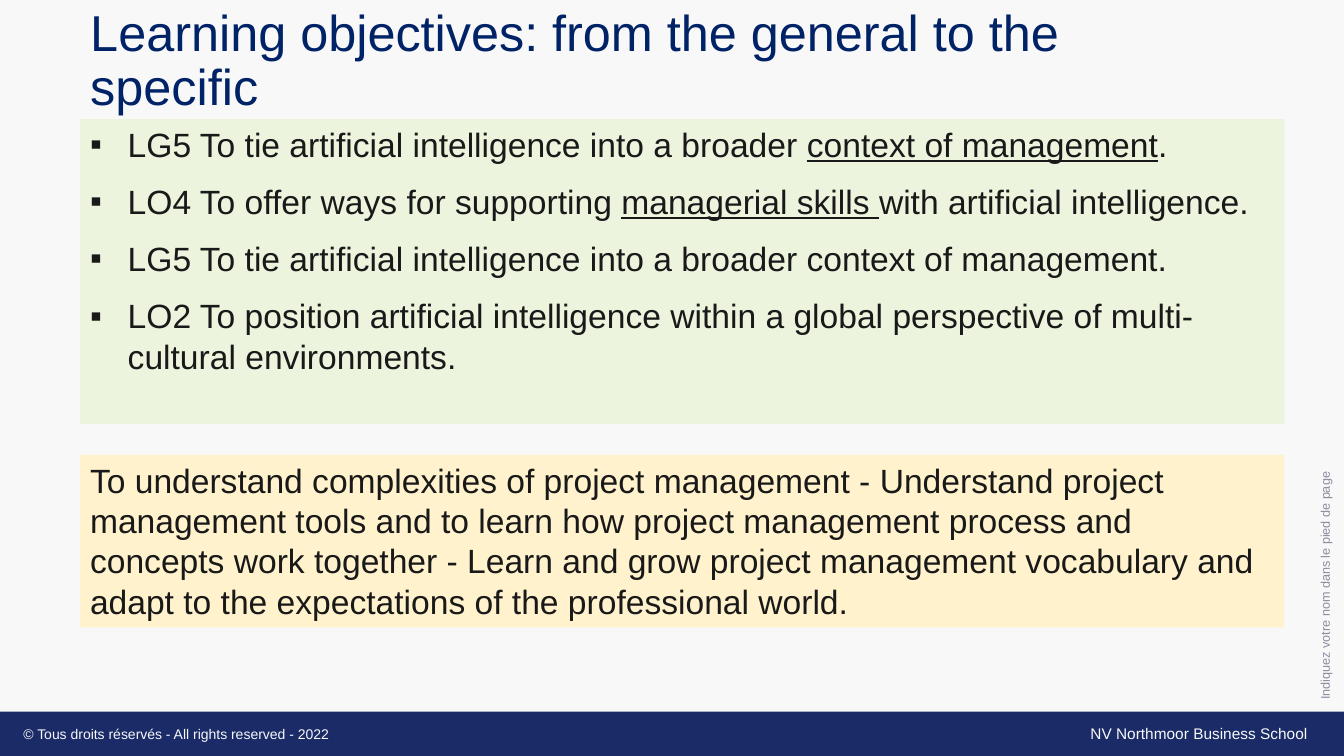
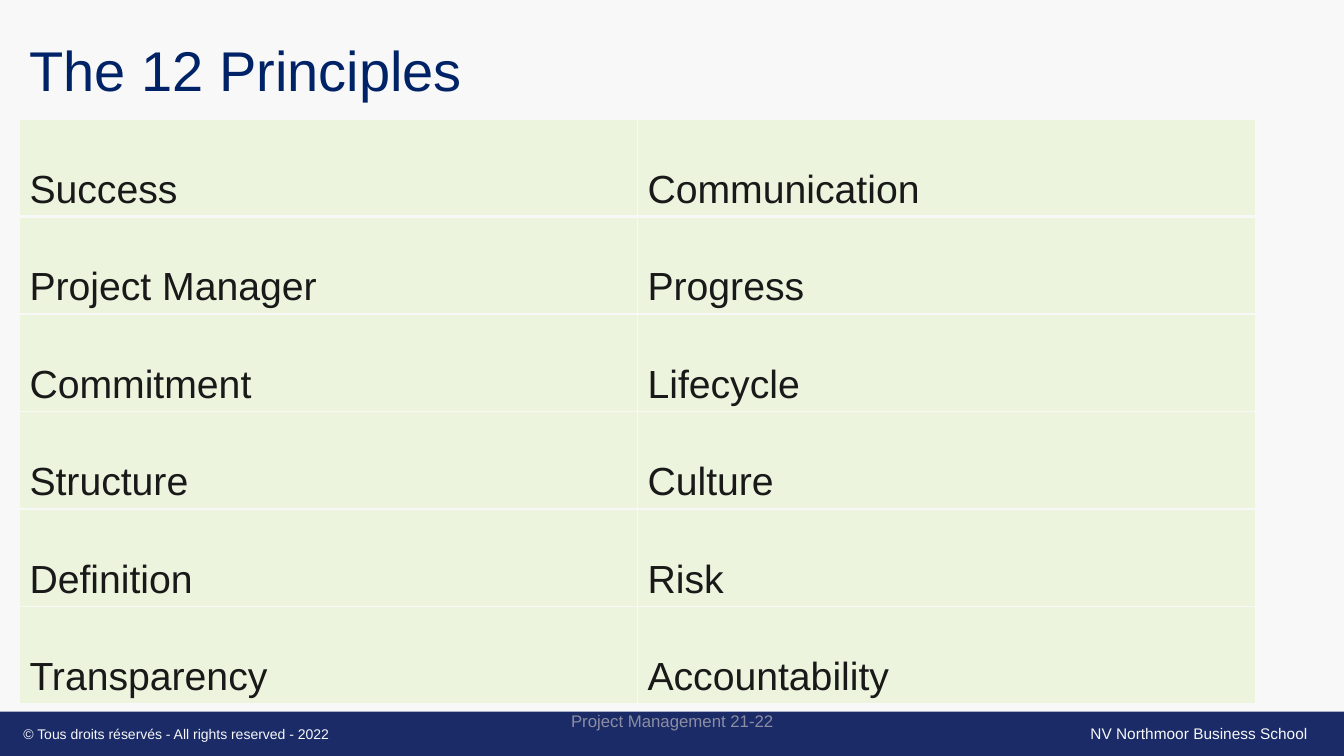
from dataclasses import dataclass

from lxml.etree import SubElement
from pptx import Presentation
from pptx.dml.color import RGBColor
from pptx.enum.shapes import MSO_SHAPE
from pptx.enum.text import MSO_ANCHOR, MSO_AUTO_SIZE, PP_ALIGN
from pptx.oxml import parse_xml
from pptx.oxml.ns import nsdecls, qn
from pptx.presentation import Presentation as Deck
from pptx.shapes.base import BaseShape
from pptx.slide import Slide
from pptx.table import _Cell
from pptx.text.text import TextFrame, _Paragraph
from pptx.util import Cm, Pt

FONT = "Arial"
PAPER = RGBColor(0xF8, 0xF8, 0xF8)
BAND_BLUE = RGBColor(0x1A, 0x2B, 0x68)
TITLE_BLUE = RGBColor(0x00, 0x22, 0x66)
INK = RGBColor(0x19, 0x19, 0x19)
GREY = RGBColor(0x8C, 0x8D, 0xA0)
GREEN = RGBColor(0xEC, 0xF4, 0xDD)
YELLOW = RGBColor(0xFF, 0xF2, 0xCC)


@dataclass(frozen=True)
class Box:
    left: float
    top: float
    width: float
    height: float

    def lengths(self) -> tuple[Cm, Cm, Cm, Cm]:
        return Cm(self.left), Cm(self.top), Cm(self.width), Cm(self.height)


@dataclass(frozen=True)
class Label:
    text: str
    box: Box
    size: float
    color: RGBColor
    align: PP_ALIGN = PP_ALIGN.LEFT
    anchor: MSO_ANCHOR = MSO_ANCHOR.TOP
    vertical: bool = False


@dataclass(frozen=True)
class Objective:
    before: str
    underlined: str = ""
    after: str = ""


BAND = Box(0, 17.93, 33.87, 1.12)
FOOTER_LABELS = (
    Label("NV Northmoor Business School", Box(27.23, 18.12, 6.22, 0.74), 11, PAPER),
    Label("© Tous droits réservés - All rights reserved - 2022",
          Box(0.34, 18.16, 11.3, 0.69), 10, PAPER),
)
AUTHOR_LABEL = Label("Indiquez votre nom dans le pied de page",
                     Box(33.1, 1.37, 0.58, 16.51), 9, GREY,
                     anchor=MSO_ANCHOR.MIDDLE, vertical=True)
COURSE_LABEL = Label("Project Management 21-22", Box(11.23, 17.65, 11.43, 1.02),
                     12, GREY, PP_ALIGN.CENTER, MSO_ANCHOR.MIDDLE)

OBJECTIVES = (
    Objective("LG5 To tie artificial intelligence into a broader ",
              "context of management", "."),
    Objective("LO4 To offer ways for supporting ",
              "managerial skills ", "with artificial intelligence."),
    Objective("LG5 To tie artificial intelligence into a broader context of management."),
    Objective("LO2 To position artificial intelligence within a global perspective "
              "of multi-cultural environments."),
)
COURSE_AIM = (
    "To understand complexities of project management - Understand project management "
    "tools and to learn how project management process and concepts work together - "
    "Learn and grow project management vocabulary and adapt to the expectations of the "
    "professional world."
)
PRINCIPLES = (
    ("Success", "Communication"),
    ("Project Manager", "Progress"),
    ("Commitment", "Lifecycle"),
    ("Structure", "Culture"),
    ("Definition", "Risk"),
    ("Transparency", "Accountability"),
)


def style_paragraph(paragraph: _Paragraph, size: float, color: RGBColor,
                    align: PP_ALIGN = PP_ALIGN.LEFT) -> None:
    paragraph.alignment = align
    paragraph.font.name = FONT
    paragraph.font.size = Pt(size)
    paragraph.font.color.rgb = color


def add_label(slide: Slide, label: Label) -> None:
    frame = slide.shapes.add_textbox(*label.box.lengths()).text_frame
    frame.word_wrap = True
    frame.vertical_anchor = label.anchor
    if label.vertical:
        frame._txBody.bodyPr.set("vert", "vert270")
    frame.text = label.text
    style_paragraph(frame.paragraphs[0], label.size, label.color, label.align)


def add_panel(slide: Slide, box: Box, color: RGBColor) -> BaseShape:
    panel = slide.shapes.add_shape(MSO_SHAPE.RECTANGLE, *box.lengths())
    panel.shadow.inherit = False
    panel.fill.solid()
    panel.fill.fore_color.rgb = color
    panel.line.fill.background()
    panel.text_frame.word_wrap = True
    panel.text_frame.vertical_anchor = MSO_ANCHOR.TOP
    return panel


def add_base_slide(presentation: Deck, title: str, box: Box, size: float) -> Slide:
    slide = presentation.slides.add_slide(presentation.slide_layouts[5])
    add_panel(slide, BAND, BAND_BLUE)
    for label in FOOTER_LABELS:
        add_label(slide, label)
    shape = slide.shapes.title
    shape.left, shape.top, shape.width, shape.height = box.lengths()
    frame = shape.text_frame
    frame.text = title
    frame.word_wrap = True
    frame.auto_size = MSO_AUTO_SIZE.NONE
    frame.vertical_anchor = MSO_ANCHOR.MIDDLE
    paragraph = frame.paragraphs[0]
    paragraph.line_spacing = 0.9
    style_paragraph(paragraph, size, TITLE_BLUE)
    return slide


def write_objectives(frame: TextFrame, objectives: tuple[Objective, ...]) -> None:
    for index, objective in enumerate(objectives):
        paragraph = frame.add_paragraph() if index else frame.paragraphs[0]
        paragraph.space_after = Pt(12)
        properties = paragraph._p.get_or_add_pPr()
        properties.set("marL", str(Cm(0.95)))
        properties.set("indent", str(Cm(-0.95)))
        SubElement(properties, qn("a:buFont")).set("typeface", FONT)
        SubElement(properties, qn("a:buChar")).set("char", "▪")
        style_paragraph(paragraph, 24, INK)
        paragraph.add_run().text = objective.before
        if objective.underlined:
            run = paragraph.add_run()
            run.text = objective.underlined
            run.font.underline = True
            paragraph.add_run().text = objective.after


def set_borders(cell: _Cell, widths: dict[str, float]) -> None:
    properties = cell._tc.get_or_add_tcPr()
    for index, (side, width) in enumerate(widths.items()):
        properties.insert(index, parse_xml(
            f'<a:ln{side} {nsdecls("a")} w="{Pt(width)}"><a:solidFill>'
            f'<a:srgbClr val="{PAPER}"/></a:solidFill></a:ln{side}>'))


def add_principles_table(slide: Slide, box: Box) -> None:
    table = slide.shapes.add_table(len(PRINCIPLES), 2, *box.lengths()).table
    table.first_row = False
    table.horz_banding = False
    for row, names in enumerate(PRINCIPLES):
        for column, name in enumerate(names):
            cell = table.cell(row, column)
            cell.fill.solid()
            cell.fill.fore_color.rgb = GREEN
            set_borders(cell, {"L": 1, "R": 1, "T": 3 if row == 1 else 1,
                               "B": 3 if row == 0 else 1})
            cell.vertical_anchor = MSO_ANCHOR.BOTTOM
            cell.text = name
            style_paragraph(cell.text_frame.paragraphs[0], 28, INK)


def build_objectives_slide(presentation: Deck) -> None:
    slide = add_base_slide(presentation,
                           "Learning objectives: from the general to the specific",
                           Box(2.02, 0.67, 29.21, 1.8), 36)
    add_label(slide, AUTHOR_LABEL)
    objectives_panel = add_panel(slide, Box(2.02, 3, 30.35, 7.68), GREEN)
    write_objectives(objectives_panel.text_frame, OBJECTIVES)
    aim_panel = add_panel(slide, Box(2.02, 11.46, 30.35, 4.35), YELLOW)
    aim_panel.text_frame.text = COURSE_AIM
    style_paragraph(aim_panel.text_frame.paragraphs[0], 24, INK)


def build_principles_slide(presentation: Deck) -> None:
    slide = add_base_slide(presentation, "The 12 Principles",
                           Box(0.49, 0, 29.21, 3.68), 40)
    add_label(slide, COURSE_LABEL)
    add_principles_table(slide, Box(0.49, 3, 31.15, 14.74))


def main() -> None:
    presentation = Presentation()
    presentation.slide_width = Cm(33.87)
    presentation.slide_height = Cm(19.05)
    background = presentation.slide_master.background.fill
    background.solid()
    background.fore_color.rgb = PAPER
    build_objectives_slide(presentation)
    build_principles_slide(presentation)
    presentation.save("out.pptx")


if __name__ == "__main__":
    main()
